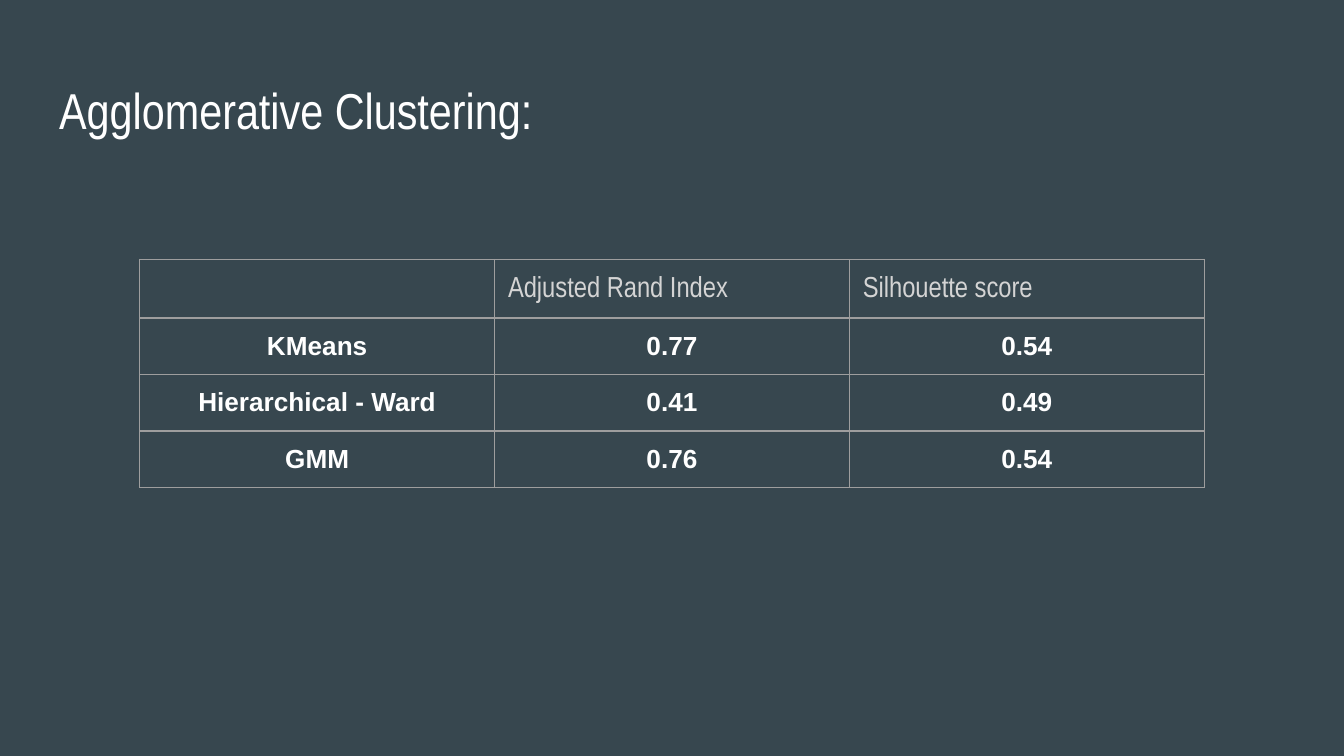
from lxml import etree
from pptx import Presentation
from pptx import util as u
from pptx.dml.color import RGBColor
from pptx.enum import text
from pptx.oxml.ns import qn

W = 10
H = W * 9 / 16
COLORS = {"bg": "37474F", "white": "FFFFFF", "header": "D4D4D4", "border": "9E9E9E"}
INSET = u.Inches(0.1)
ROWS = [
    ["", "Adjusted Rand Index", "Silhouette score"],
    ["KMeans", "0.77", "0.54"],
    ["Hierarchical - Ward", "0.41", "0.49"],
    ["GMM", "0.76", "0.54"],
]


def put_text(tf, words, size, font="Arial", color="white", bold=False,
             align=text.PP_ALIGN.LEFT, spacing=1.0, after=0):
    p = tf.paragraphs[0]
    p.alignment, p.line_spacing, p.space_after = align, spacing, u.Pt(after)
    if not words:  # an empty cell still needs a text size to keep its row low
        etree.SubElement(p._p, qn("a:endParaRPr"), sz=str(int(size * 100)))
        return
    r = p.add_run()
    r.text = words
    r.font.name, r.font.size, r.font.bold = font, u.Pt(size), bold
    r.font.color.rgb = RGBColor.from_string(COLORS[color])


def set_borders(cell, color, width):
    tcPr = cell._tc.get_or_add_tcPr()
    for i, side in enumerate(("lnL", "lnR", "lnT", "lnB")):
        ln = etree.Element(qn(f"a:{side}"), w=str(u.Pt(width)))
        fill = etree.SubElement(ln, qn("a:solidFill"))
        etree.SubElement(fill, qn("a:srgbClr"), val=COLORS[color])
        tcPr.insert(i, ln)


def add_title(s, box, words):
    sp = s.shapes.title
    sp.left, sp.top, sp.width, sp.height = (u.Inches(v) for v in box)
    tf = sp.text_frame
    tf.margin_left = tf.margin_right = tf.margin_top = tf.margin_bottom = INSET
    tf.vertical_anchor = text.MSO_ANCHOR.TOP
    tf.word_wrap = True
    tf.auto_size = text.MSO_AUTO_SIZE.NONE
    put_text(tf, words, 27, font="Arial Narrow")


def add_scores(s, box, rows):
    frame = s.shapes.add_table(len(rows), len(rows[0]), *(u.Inches(v) for v in box))
    table = frame.table
    table.horz_banding = table.first_row = False
    for i, row in enumerate(rows):
        for j, words in enumerate(row):
            cell = table.cell(i, j)
            cell.fill.background()
            cell.margin_left = cell.margin_right = INSET
            cell.margin_top = cell.margin_bottom = INSET
            set_borders(cell, "border", 0.75)
            if i == 0:
                put_text(cell.text_frame, words, 15.5 if words else 14,
                         font="Arial Narrow", color="header", spacing=1.15, after=12)
            else:
                put_text(cell.text_frame, words, 14, bold=True,
                         align=text.PP_ALIGN.CENTER)


def main():
    prs = Presentation()
    prs.slide_width, prs.slide_height = u.Inches(W), u.Inches(H)
    s = prs.slides.add_slide(prs.slide_layouts.get_by_name("Title Only"))
    s.background.fill.solid()
    s.background.fill.fore_color.rgb = RGBColor.from_string(COLORS["bg"])

    # Title across the page margins
    margin = 0.34
    add_title(s, (margin, 0.49, W - 2 * margin, 0.63), "Agglomerative Clustering:")

    # Score table, centred, with equal columns and rows
    col, row = 2.64, 0.42
    width = col * len(ROWS[0])
    add_scores(s, ((W - width) / 2, 1.93, width, row * len(ROWS)), ROWS)

    prs.save("out.pptx")


if __name__ == "__main__":
    main()
